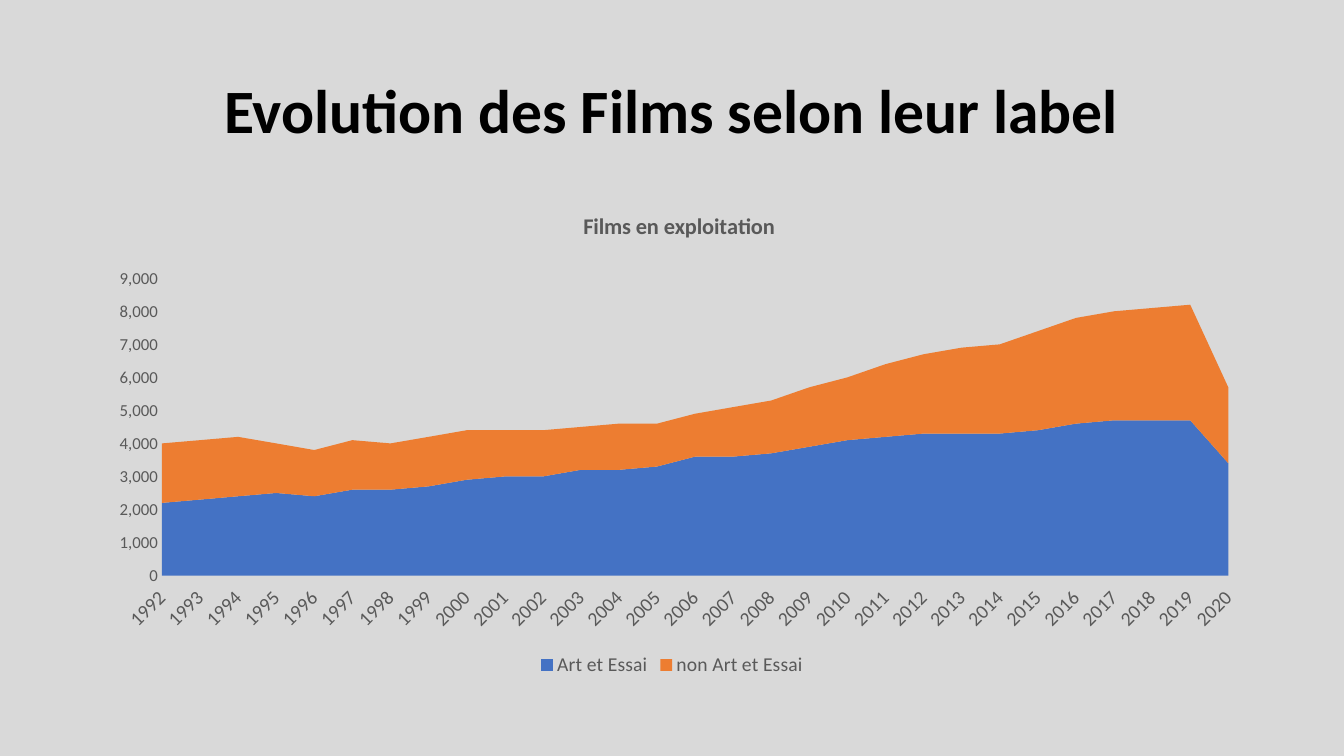
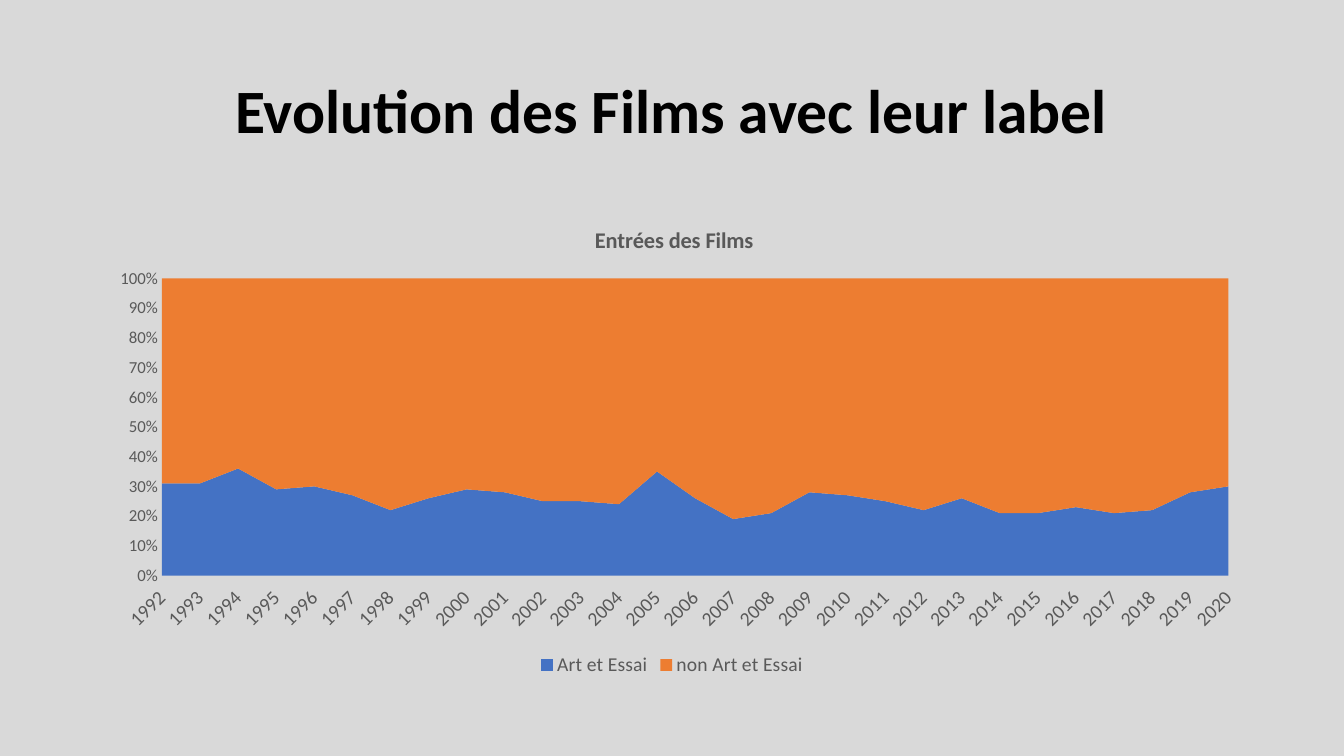
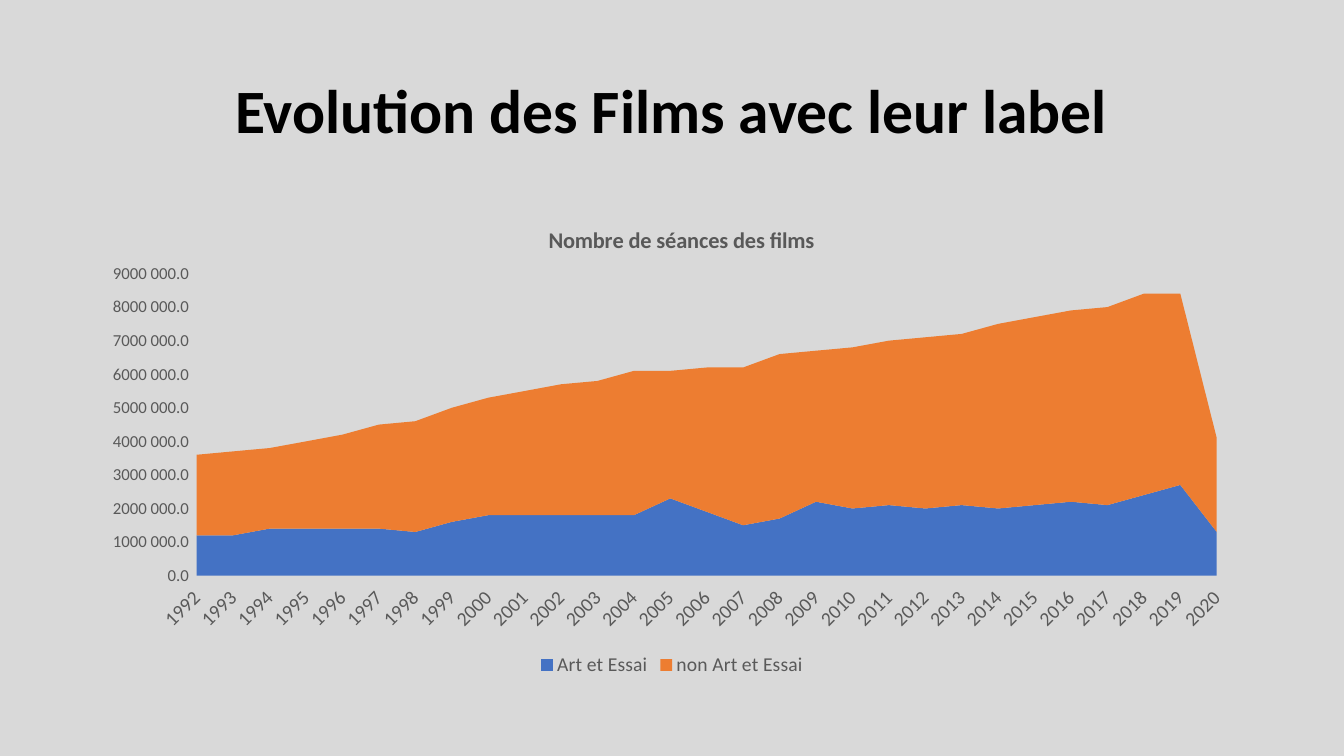
import dataclasses

import lxml.etree
import pptx
import pptx.chart.data
import pptx.dml.color
import pptx.enum.chart
import pptx.enum.text
import pptx.oxml.ns
import pptx.util


@dataclasses.dataclass(frozen=True)
class Theme:
    """Colours, font and type sizes shared by all slides."""
    background: str = "D9D9D9"
    heading: str = "000000"
    chart_text: str = "595959"
    rule: str = "D9D9D9"
    labels: tuple = ("4472C4", "ED7D31")
    font: str = "Calibri"
    heading_size: int = 44
    chart_title_size: int = 16
    year_size: int = 14
    legend_size: int = 14
    scale_size: int = 12
    rule_width: float = 0.75


def style_font(font, size, colour, bold=False):
    """Apply the theme font with a size, colour and weight."""
    font.name = theme.font
    font.size = pptx.util.Pt(size)
    font.bold = bold
    font.color.rgb = pptx.dml.color.RGBColor.from_string(colour)


def place(element, position, **shares):
    """Give a chart part a manual layout in shares of the chart's size."""
    qn = pptx.oxml.ns.qn
    for old in element.findall(qn("c:layout")):
        element.remove(old)
    layout = lxml.etree.Element(qn("c:layout"))
    manual = lxml.etree.SubElement(layout, qn("c:manualLayout"))
    if "w" in shares:
        lxml.etree.SubElement(manual, qn("c:layoutTarget")).set("val", "inner")
    for mode in ("xMode", "yMode"):
        lxml.etree.SubElement(manual, qn("c:" + mode)).set("val", "edge")
    for name, share in shares.items():
        lxml.etree.SubElement(manual, qn("c:" + name)).set("val", str(share))
    element.insert(position, layout)


theme = Theme()
rule_colour = pptx.dml.color.RGBColor.from_string(theme.rule)
area = pptx.enum.chart.XL_CHART_TYPE

# The slide is a grid of 160 columns by 90 rows.
cell = pptx.util.Inches(1) // 12
left, width = 11 * cell, 138 * cell
heading_top, heading_height = int(4.8 * cell), int(17.4 * cell)
chart_top, chart_height = 24 * cell, int(57.1 * cell)

years = [str(year) for year in range(1992, 2021)]
label_names = ("Art et Essai", "non Art et Essai")

topics = [
    dict(
        heading="Evolution des Films selon leur label",
        title="Films en exploitation",
        title_at=dict(x=0.42, y=0.01),
        plot_at=dict(x=0.06, y=0.16, w=0.92, h=0.62),
        kind=area.AREA_STACKED, number_format="#,##0", unit=100,
        values=(
            [22, 23, 24, 25, 24, 26, 26, 27, 29, 30, 30, 32, 32, 33, 36,
             36, 37, 39, 41, 42, 43, 43, 43, 44, 46, 47, 47, 47, 34],
            [18, 18, 18, 15, 14, 15, 14, 15, 15, 14, 14, 13, 14, 13, 13,
             15, 16, 18, 19, 22, 24, 26, 27, 30, 32, 33, 34, 35, 23],
        ),
    ),
    dict(
        heading="Evolution des Films avec leur label",
        title="Entrées des Films",
        title_at=dict(x=0.43, y=0.04),
        plot_at=dict(x=0.06, y=0.16, w=0.92, h=0.62),
        kind=area.AREA_STACKED_100, number_format="0%", unit=1,
        values=(
            [31, 31, 36, 29, 30, 27, 22, 26, 29, 28, 25, 25, 24, 35, 26,
             19, 21, 28, 27, 25, 22, 26, 21, 21, 23, 21, 22, 28, 30],
            [69, 69, 64, 71, 70, 73, 78, 74, 71, 72, 75, 75, 76, 65, 74,
             81, 79, 72, 73, 75, 78, 74, 79, 79, 77, 79, 78, 72, 70],
        ),
    ),
    dict(
        heading="Evolution des Films avec leur label",
        title="Nombre de séances des films",
        title_at=dict(x=0.39, y=0.04),
        plot_at=dict(x=0.09, y=0.15, w=0.88, h=0.63),
        kind=area.AREA_STACKED, number_format=r"#\ ##0.0\ ", unit=100000,
        values=(
            [12, 12, 14, 14, 14, 14, 13, 16, 18, 18, 18, 18, 18, 23, 19,
             15, 17, 22, 20, 21, 20, 21, 20, 21, 22, 21, 24, 27, 13],
            [24, 25, 24, 26, 28, 31, 33, 34, 35, 37, 39, 40, 43, 38, 43,
             47, 49, 45, 48, 49, 51, 51, 55, 56, 57, 59, 60, 57, 28],
        ),
    ),
]

deck = pptx.Presentation()
deck.slide_width, deck.slide_height = 160 * cell, 90 * cell
backdrop = deck.slide_master.background.fill
backdrop.solid()
backdrop.fore_color.rgb = pptx.dml.color.RGBColor.from_string(theme.background)

for topic in topics:
    slide = deck.slides.add_slide(deck.slide_layouts[6])

    heading = slide.shapes.add_textbox(left, heading_top, width, heading_height).text_frame
    heading.word_wrap = True
    heading.vertical_anchor = pptx.enum.text.MSO_ANCHOR.MIDDLE
    heading_line = heading.paragraphs[0]
    heading_line.text = topic["heading"]
    heading_line.alignment = pptx.enum.text.PP_ALIGN.CENTER
    heading_line.line_spacing = 0.9
    style_font(heading_line.font, theme.heading_size, theme.heading, bold=True)

    films = pptx.chart.data.CategoryChartData(number_format="General")
    films.categories = years
    for name, counts in zip(label_names, topic["values"]):
        films.add_series(name, [count * topic["unit"] for count in counts])
    chart = slide.shapes.add_chart(
        topic["kind"], left, chart_top, width, chart_height, films).chart
    style_font(chart.font, theme.scale_size, theme.chart_text)
    chart.plots[0].vary_by_categories = False
    for series, colour in zip(chart.plots[0].series, theme.labels):
        series.format.fill.solid()
        series.format.fill.fore_color.rgb = pptx.dml.color.RGBColor.from_string(colour)

    chart.has_title = True
    chart_title = chart.chart_title.text_frame.paragraphs[0]
    chart_title.text = topic["title"]
    style_font(chart_title.font, theme.chart_title_size, theme.chart_text, bold=True)

    chart.has_legend = True
    chart.legend.position = pptx.enum.chart.XL_LEGEND_POSITION.BOTTOM
    chart.legend.include_in_layout = False
    style_font(chart.legend.font, theme.legend_size, theme.chart_text)

    year_axis, scale = chart.category_axis, chart.value_axis
    year_axis.major_tick_mark = pptx.enum.chart.XL_TICK_MARK.OUTSIDE
    scale.major_tick_mark = pptx.enum.chart.XL_TICK_MARK.NONE
    for axis in (year_axis, scale):
        axis.minor_tick_mark = pptx.enum.chart.XL_TICK_MARK.NONE
    year_axis.has_major_gridlines = False
    scale.has_major_gridlines = True
    for line in (year_axis.format.line, scale.major_gridlines.format.line):
        line.color.rgb = rule_colour
        line.width = pptx.util.Pt(theme.rule_width)
    scale.format.line.fill.background()
    style_font(year_axis.tick_labels.font, theme.year_size, theme.chart_text)
    style_font(scale.tick_labels.font, theme.scale_size, theme.chart_text)
    scale.tick_labels.number_format = topic["number_format"]
    scale.tick_labels.number_format_is_linked = False

    # Slanted years, areas that start on the axis, and fixed places.
    for body in chart.element.xpath(".//c:catAx/c:txPr/a:bodyPr"):
        body.set("rot", "-2700000")
    for crossing in chart.element.xpath(".//c:valAx/c:crossBetween"):
        crossing.set("val", "midCat")
    place(chart.element.xpath("c:chart/c:title")[0], 1, **topic["title_at"])
    place(chart.element.xpath("c:chart/c:plotArea")[0], 0, **topic["plot_at"])

deck.save("out.pptx")
